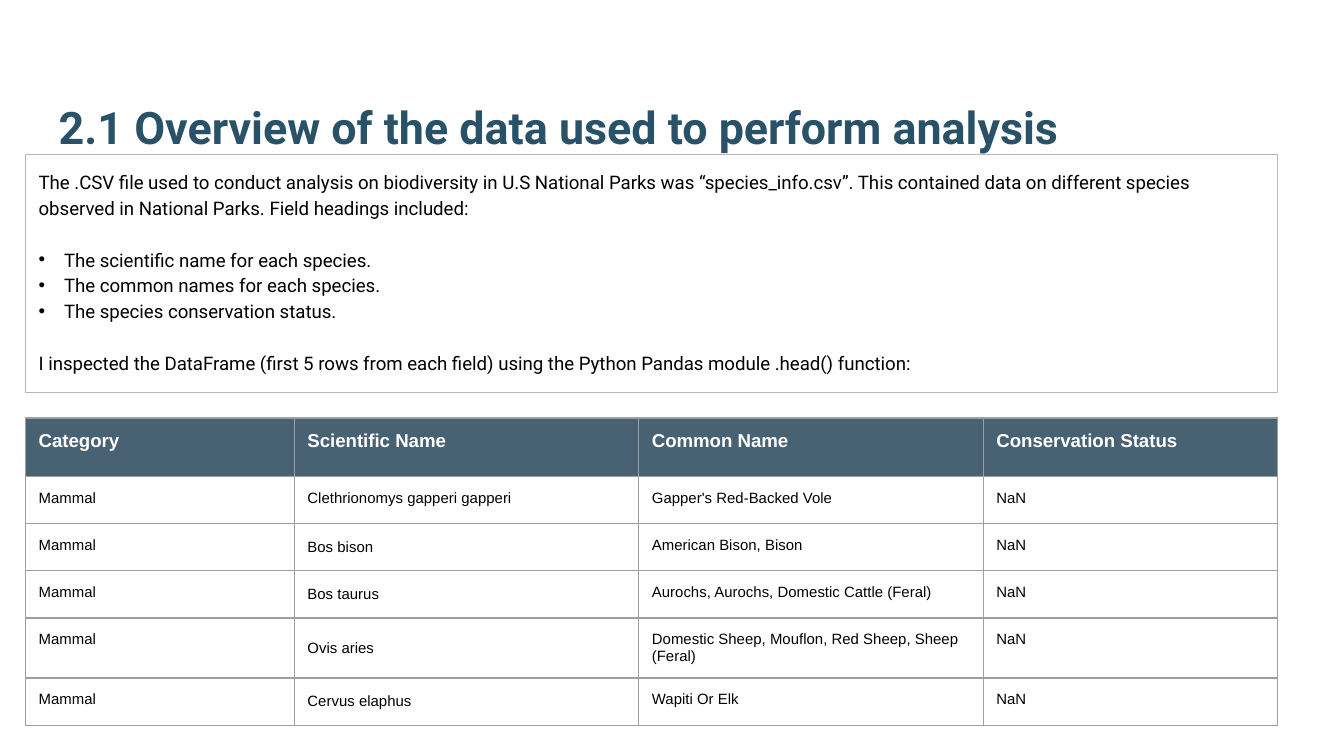
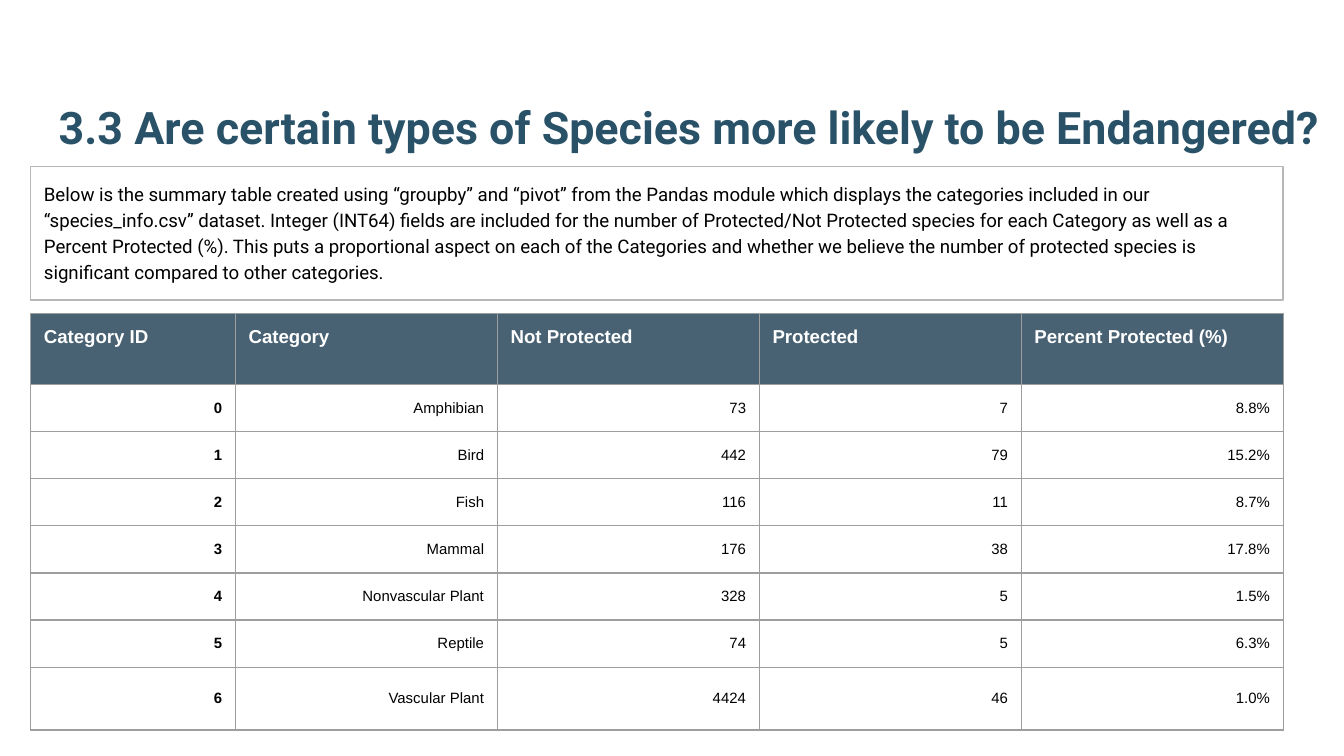
from dataclasses import dataclass
from typing import Callable, NamedTuple

from lxml.etree import SubElement
from pptx import Presentation
from pptx.dml.color import RGBColor
from pptx.enum.text import MSO_ANCHOR, MSO_AUTO_SIZE, PP_ALIGN
from pptx.oxml.ns import qn
from pptx.util import Cm, Pt


@dataclass(frozen=True)
class Theme:
    title_color: str = "295269"
    header_color: str = "204056"
    header_opacity: int = 82
    header_text: str = "FFFFFF"
    text: str = "000000"
    box_line: str = "B7B7B7"
    grid: str = "9E9E9E"
    heading_font: str = "Roboto"
    table_font: str = "Arial"
    title_size: float = 24
    body_size: float = 10
    cell_size: float = 8
    line_width: float = 0.75
    line_spacing: float = 1.15
    paragraph_gap: float = 13.8


THEME = Theme()
INSET = Cm(0.25)
CENTRED_INSET = Cm(0.13)
BULLET_INDENT = Cm(0.48)
CONTENT_WIDTH = 23.67


class Box(NamedTuple):
    """Left, top, width and height in centimetres."""
    left: float
    top: float
    width: float
    height: float


class Line(NamedTuple):
    text: str
    bullet: bool = False
    gap_before: bool = False


@dataclass(frozen=True)
class DataTable:
    left: float
    top: float
    columns: list[float]
    heights: list[float]
    rows: list[list[str]]
    align: PP_ALIGN
    is_centred: Callable[[int, int], bool]
    bold_first_column: bool = False


@dataclass(frozen=True)
class Page:
    title: str
    title_width: float
    summary: list[Line]
    summary_box: Box
    table: DataTable


# Content
SPECIES = DataTable(
    left=0.48, top=7.9,
    columns=[5.08, 6.51, 6.51, 5.57],
    heights=[1.11] + [0.89] * 5,
    rows=[
        ["Category", "Scientific Name", "Common Name", "Conservation Status"],
        ["Mammal", "Clethrionomys gapperi gapperi", "Gapper's Red-Backed Vole", "NaN"],
        ["Mammal", "Bos bison", "American Bison, Bison", "NaN"],
        ["Mammal", "Bos taurus", "Aurochs, Aurochs, Domestic Cattle (Feral)", "NaN"],
        ["Mammal", "Ovis aries", "Domestic Sheep, Mouflon, Red Sheep, Sheep (Feral)", "NaN"],
        ["Mammal", "Cervus elaphus", "Wapiti Or Elk", "NaN"],
    ],
    align=PP_ALIGN.LEFT,
    is_centred=lambda row, column: row > 1 and column == 1,
)

PROTECTION = DataTable(
    left=0.58, top=5.92,
    columns=[3.87] + [4.95] * 4,
    heights=[1.35] + [0.89] * 6 + [1.19],
    rows=[
        ["Category ID", "Category", "Not Protected", "Protected", "Percent Protected (%)"],
        ["0", "Amphibian", "73", "7", "8.8%"],
        ["1", "Bird", "442", "79", "15.2%"],
        ["2", "Fish", "116", "11", "8.7%"],
        ["3", "Mammal", "176", "38", "17.8%"],
        ["4", "Nonvascular Plant", "328", "5", "1.5%"],
        ["5", "Reptile", "74", "5", "6.3%"],
        ["6", "Vascular Plant", "4424", "46", "1.0%"],
    ],
    align=PP_ALIGN.RIGHT,
    is_centred=lambda row, column: row > 0,
    bold_first_column=True,
)

PAGES = [
    Page(
        "2.1 Overview of the data used to perform analysis", CONTENT_WIDTH,
        [
            Line("The .CSV file used to conduct analysis on biodiversity in U.S National Parks "
                 "was “species_info.csv”. This contained data on different species observed in "
                 "National Parks. Field headings included:"),
            Line("The scientific name for each species.", bullet=True, gap_before=True),
            Line("The common names for each species.", bullet=True),
            Line("The species conservation status.", bullet=True),
            Line("I inspected the DataFrame (first 5 rows from each field) using the Python "
                 "Pandas module .head() function:", gap_before=True),
        ],
        Box(0.48, 2.92, CONTENT_WIDTH, 4.5), SPECIES,
    ),
    Page(
        "3.3 Are certain types of Species more likely to be Endangered?", 24.54,
        [
            Line("Below is the summary table created using “groupby” and “pivot” from the Pandas "
                 "module which displays the categories included in our “species_info.csv” dataset. "
                 "Integer (INT64) fields are included for the number of Protected/Not Protected "
                 "species for each Category as well as a Percent Protected (%). This puts a "
                 "proportional aspect on each of the Categories and whether we believe the number "
                 "of protected species is significant compared to other categories."),
        ],
        Box(0.58, 3.15, CONTENT_WIDTH, 2.52), PROTECTION,
    ),
]


# Shared formatting
def style_runs(paragraph, font: str, size: float, color: str, bold: bool = False) -> None:
    for run in paragraph.runs:
        run.font.name = font
        run.font.size = Pt(size)
        run.font.bold = bold
        run.font.color.rgb = RGBColor.from_string(color)


def place(placeholder, box: Box, anchor: MSO_ANCHOR):
    """Move a placeholder and return its prepared text frame."""
    placeholder.left, placeholder.top, placeholder.width, placeholder.height = map(Cm, box)
    frame = placeholder.text_frame
    frame.margin_left = frame.margin_right = frame.margin_top = frame.margin_bottom = INSET
    frame.word_wrap = True
    frame.auto_size = MSO_AUTO_SIZE.NONE
    frame.vertical_anchor = anchor
    return frame


def set_bullet(paragraph, bullet: bool) -> None:
    properties = paragraph._p.get_or_add_pPr()
    indent = BULLET_INDENT if bullet else 0
    properties.set("marL", str(indent))
    properties.set("indent", str(-indent))
    if bullet:
        color = SubElement(properties, qn("a:buClr"))
        SubElement(color, qn("a:srgbClr"), val=THEME.text)
        SubElement(properties, qn("a:buFont"), typeface=THEME.table_font)
        SubElement(properties, qn("a:buChar"), char="•")
    else:
        SubElement(properties, qn("a:buNone"))


def set_borders(cell) -> None:
    properties = cell._tc.get_or_add_tcPr()
    for side in ("lnL", "lnR", "lnT", "lnB"):
        border = SubElement(properties, qn(f"a:{side}"), w=str(Pt(THEME.line_width)))
        fill = SubElement(border, qn("a:solidFill"))
        SubElement(fill, qn("a:srgbClr"), val=THEME.grid)


def fill_header(cell) -> None:
    cell.fill.solid()
    cell.fill.fore_color.rgb = RGBColor.from_string(THEME.header_color)
    color = cell._tc.tcPr.find(qn("a:solidFill")).find(qn("a:srgbClr"))
    SubElement(color, qn("a:alpha"), val=str(THEME.header_opacity * 1000))


# Slide parts
def add_title(slide, page: Page) -> None:
    frame = place(slide.shapes.title, Box(0.86, 0.81, page.title_width, 2.34), MSO_ANCHOR.BOTTOM)
    frame.text = page.title
    heading = frame.paragraphs[0]
    heading.alignment = PP_ALIGN.LEFT
    style_runs(heading, THEME.heading_font, THEME.title_size, THEME.title_color, bold=True)


def add_summary(slide, page: Page) -> None:
    summary = slide.placeholders[1]
    summary.line.color.rgb = RGBColor.from_string(THEME.box_line)
    summary.line.width = Pt(THEME.line_width)
    frame = place(summary, page.summary_box, MSO_ANCHOR.TOP)
    frame.text = "\n".join(line.text for line in page.summary)
    for paragraph, line in zip(frame.paragraphs, page.summary):
        set_bullet(paragraph, line.bullet)
        paragraph.line_spacing = THEME.line_spacing
        paragraph.space_before = Pt(THEME.paragraph_gap if line.gap_before else 0)
        style_runs(paragraph, THEME.heading_font, THEME.body_size, THEME.text)


def style_cell(cell, data: DataTable, row: int, column: int) -> None:
    centred = data.is_centred(row, column)
    cell.margin_left = cell.margin_right = INSET
    cell.margin_top = cell.margin_bottom = CENTRED_INSET if centred else INSET
    cell.vertical_anchor = MSO_ANCHOR.MIDDLE if centred else MSO_ANCHOR.TOP
    set_borders(cell)
    paragraph = cell.text_frame.paragraphs[0]
    if row == 0:
        fill_header(cell)
        paragraph.alignment = PP_ALIGN.LEFT
        style_runs(paragraph, THEME.table_font, THEME.body_size, THEME.header_text, bold=True)
    else:
        cell.fill.background()
        paragraph.alignment = data.align
        style_runs(paragraph, THEME.table_font, THEME.cell_size, THEME.text,
                   bold=data.bold_first_column and column == 0)


def add_data_table(slide, data: DataTable) -> None:
    table = slide.shapes.add_table(
        len(data.rows), len(data.columns), Cm(data.left), Cm(data.top),
        Cm(sum(data.columns)), Cm(sum(data.heights))).table
    table.horz_banding = False
    for column, width in zip(table.columns, data.columns):
        column.width = Cm(width)
    for row, height in zip(table.rows, data.heights):
        row.height = Cm(height)
    for r, values in enumerate(data.rows):
        for c, value in enumerate(values):
            cell = table.cell(r, c)
            cell.text_frame.text = value
            style_cell(cell, data, r, c)


def main() -> None:
    deck = Presentation()
    deck.slide_width, deck.slide_height = Cm(25.4), Cm(14.29)
    for page in PAGES:
        slide = deck.slides.add_slide(deck.slide_layouts[1])
        add_title(slide, page)
        add_summary(slide, page)
        add_data_table(slide, page.table)
    deck.save("out.pptx")


if __name__ == "__main__":
    main()
